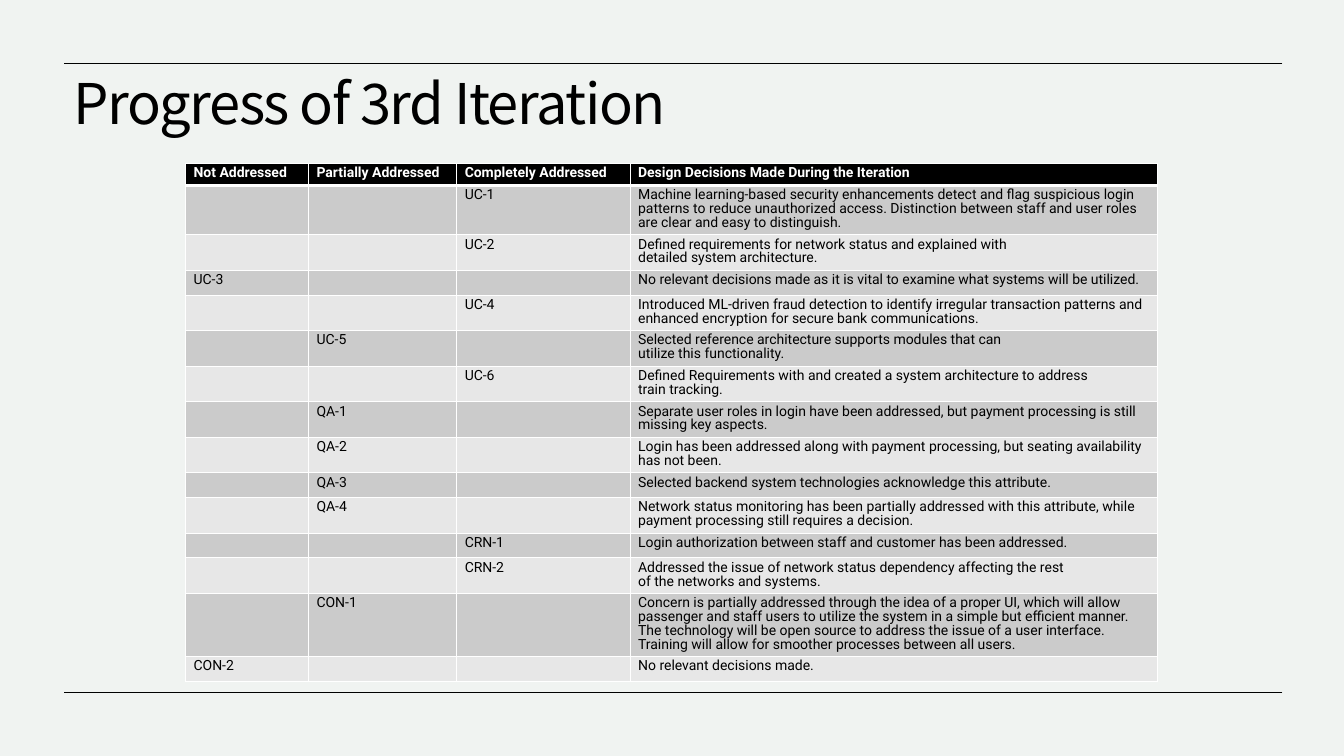
from lxml.etree import SubElement
from pptx import Presentation
from pptx.dml.color import RGBColor
from pptx.enum.shapes import MSO_CONNECTOR
from pptx.enum.text import MSO_ANCHOR
from pptx.oxml.ns import qn
from pptx.util import Inches, Pt

COLOURS = {"paper": "F0F3F1", "ink": "000000", "white": "FFFFFF",
           "dark band": "CBCBCB", "light band": "E7E7E7"}
WIDTH, HEIGHT = 13.33, 7.5
COLUMN_WIDTHS = [1.22, 1.47, 1.72, 5.23]
HEADER_HEIGHT, ONE_LINE_HEIGHT, LINE_HEIGHT, CELL_PADDING = 0.22, 0.24, 0.136, 0.08
TIE = "~"  # marks a non-breaking space

HEADINGS = ["Not~Addressed", "Partially~Addressed", "Completely~Addressed",
            "Design Decisions Made During the Iteration"]
NOT, PARTIAL, COMPLETE, DECISION = range(4)
# (item, status column, lines of text, decision)
PROGRESS = [
    ("UC-1", COMPLETE, 3, "Machine learning-based security enhancements detect and flag~suspicious~login "
     "patterns to reduce unauthorized access. Distinction~between staff and~user roles "
     "are clear and easy to distinguish."),
    ("UC-2", COMPLETE, 2, "Defined requirements for network status and explained with "
     "detailed~system~architecture."),
    ("UC-3", NOT, 1, "No relevant decisions made as it is vital to examine what systems will~be~utilized."),
    ("UC-4", COMPLETE, 2, "Introduced ML-driven fraud detection to identify irregular "
     "transaction~patterns~and enhanced encryption for secure bank communications."),
    ("UC-5", PARTIAL, 2, "Selected reference architecture supports modules that can "
     "utilize~this~functionality."),
    ("UC-6", COMPLETE, 2, "Defined Requirements with and created a system architecture to~address "
     "train~tracking."),
    ("QA-1", PARTIAL, 2, "Separate user roles in login have been addressed, but payment~processing "
     "is~still missing key aspects."),
    ("QA-2", PARTIAL, 2, "Login has been addressed along with payment processing, "
     "but~seating~availability has not been."),
    ("QA-3", PARTIAL, 1, "Selected backend system technologies acknowledge this attribute."),
    ("QA-4", PARTIAL, 2, "Network status monitoring has been partially addressed with "
     "this~attribute,~while payment processing still requires a decision."),
    ("CRN-1", COMPLETE, 1, "Login authorization between staff and customer has been addressed."),
    ("CRN-2", COMPLETE, 2, "Addressed the issue of network status dependency affecting the rest "
     "of~the~networks and systems."),
    ("CON-1", PARTIAL, 4, "Concern is partially addressed through the idea of a proper UI, "
     "which~will~allow passenger and staff users to utilize the system in a simple "
     "but~efficient~manner. The technology will be open source to address the~issue of "
     "a user~interface. Training will allow for smoother processes~between all users."),
    ("CON-2", NOT, 1, "No relevant decisions made."),
]


def colour(name):
    return RGBColor.from_string(COLOURS[name])


def add_span(paragraph, text, font, size, ink, bold=False):
    span = paragraph.add_run()
    span.text = text.replace(TIE, chr(160))
    span.font.name, span.font.size, span.font.bold = font, Pt(size), bold
    span.font.color.rgb = colour(ink)
    return span


def add_rule(page, left, top, width):
    rule = page.shapes.add_connector(MSO_CONNECTOR.STRAIGHT, Inches(left + width), Inches(top),
                                     Inches(left), Inches(top))
    rule.line.color.rgb = colour("ink")
    rule.line.width = Pt(0.5)
    SubElement(rule._element.spPr, qn("a:effectLst"))


def add_title(page, left, top, width, height):
    box = page.shapes.add_textbox(Inches(left), Inches(top), Inches(width), Inches(height))
    box.text_frame.word_wrap = True
    box.text_frame.vertical_anchor = MSO_ANCHOR.TOP
    paragraph = box.text_frame.paragraphs[0]
    paragraph.line_spacing = 0.9
    span = add_span(paragraph, "Progress of 3rd Iteration", "Noto Sans CJK KR", 40, "ink")
    properties = span.font._element
    properties.set("spc", "-100")
    SubElement(properties, qn("a:ea")).set("typeface", "Noto Sans CJK KR")


def set_borders(cell, top=0.85, bottom=0.85):
    """Draw white borders; they must come before the fill in the cell's XML."""
    properties = cell._tc.get_or_add_tcPr()
    for side, width in (("L", 0.85), ("R", 0.85), ("T", top), ("B", bottom)):
        border = SubElement(properties, qn(f"a:ln{side}"), w=str(Pt(width)))
        fill = SubElement(border, qn("a:solidFill"))
        SubElement(fill, qn("a:srgbClr"), val=COLOURS["white"])


def fill_cell(cell, text, band, ink="ink", bold=False, **borders):
    set_borders(cell, **borders)
    cell.fill.solid()
    cell.fill.fore_color.rgb = colour(band)
    cell.margin_left = cell.margin_right = Inches(0.08)
    cell.margin_top = cell.margin_bottom = Inches(CELL_PADDING / 2)
    paragraph = cell.text_frame.paragraphs[0]
    paragraph.line_spacing = Pt(9.8)
    if text:
        add_span(paragraph, text, "Roboto", 10, ink, bold)
    else:  # keeps an empty cell from stretching its row
        ending = SubElement(paragraph._p, qn("a:endParaRPr"), sz="1000")
        SubElement(ending, qn("a:latin"), typeface="Roboto")


def add_progress_table(page, left, top):
    heights = [HEADER_HEIGHT] + [max(ONE_LINE_HEIGHT, CELL_PADDING + lines * LINE_HEIGHT)
                                 for _, _, lines, _ in PROGRESS]
    frame = page.shapes.add_table(len(heights), len(COLUMN_WIDTHS), Inches(left), Inches(top),
                                  Inches(sum(COLUMN_WIDTHS)), Inches(sum(heights)))
    table = frame.table
    for column, width in zip(table.columns, COLUMN_WIDTHS):
        column.width = Inches(width)
    for row, height in zip(table.rows, heights):
        row.height = Inches(height)
    for column, heading in enumerate(HEADINGS):
        fill_cell(table.cell(0, column), heading, "ink", "white", bold=True, bottom=2.57)
    for row, (item, status, _, decision) in enumerate(PROGRESS, start=1):
        texts = {status: item, DECISION: decision}
        band = "dark band" if row % 2 else "light band"
        for column in range(len(COLUMN_WIDTHS)):
            fill_cell(table.cell(row, column), texts.get(column), band,
                      top=2.57 if row == 1 else 0.85)


def main():
    deck = Presentation()
    deck.slide_width, deck.slide_height = Inches(WIDTH), Inches(HEIGHT)
    page = deck.slides.add_slide(deck.slide_layouts[6])
    page.background.fill.solid()
    page.background.fill.fore_color.rgb = colour("paper")
    for top in (0.63, 6.87):
        add_rule(page, 0.63, top, 12.09)
    add_title(page, 0.63, 0.71, 12.08, 1.27)
    add_progress_table(page, 1.84, 1.62)
    deck.save("out.pptx")


if __name__ == "__main__":
    main()
